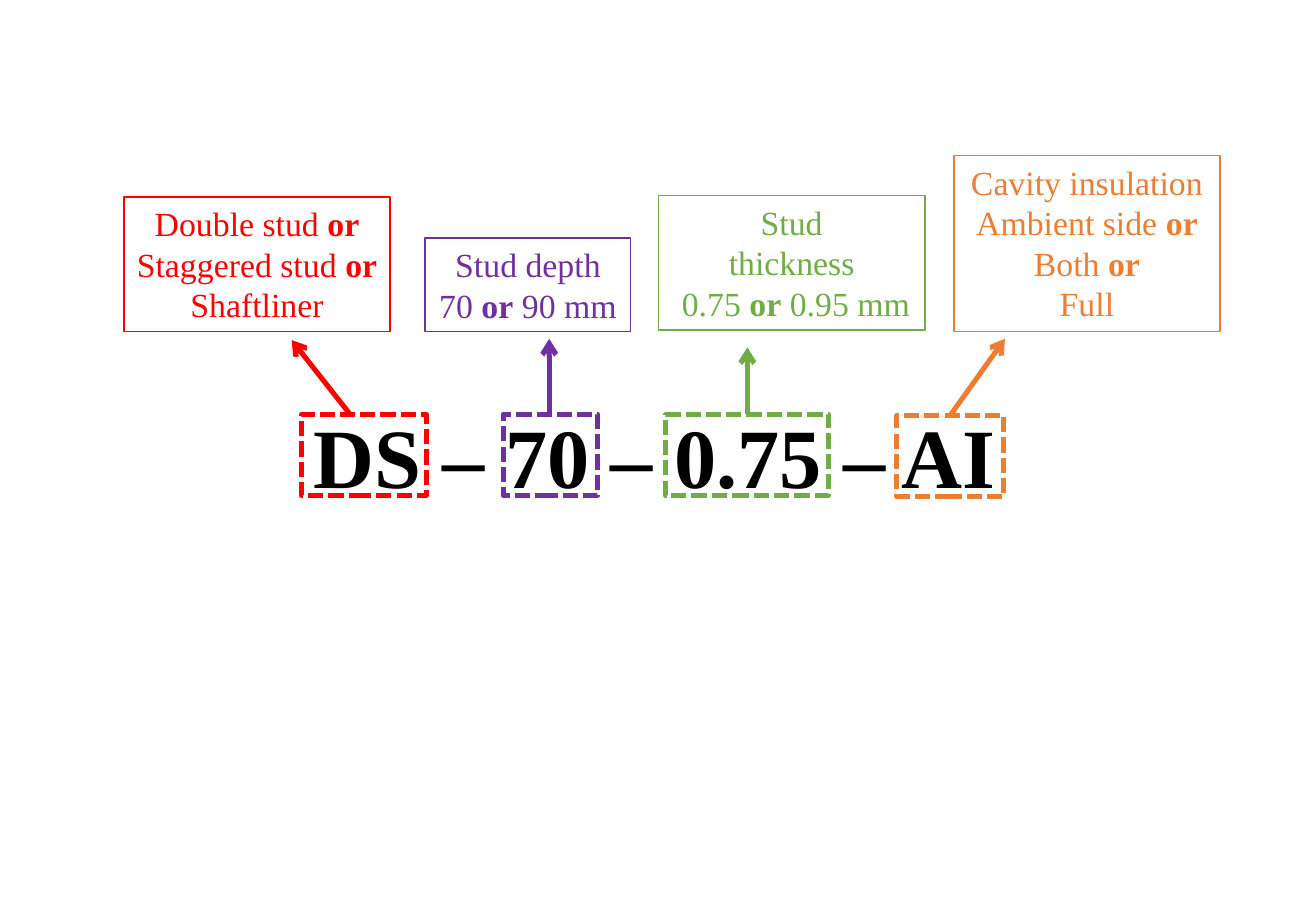
from lxml import etree
from pptx import Presentation
from pptx.dml.color import RGBColor
from pptx.enum.dml import MSO_LINE
from pptx.enum.shapes import MSO_CONNECTOR, MSO_SHAPE
from pptx.enum.text import MSO_ANCHOR, MSO_AUTO_SIZE, PP_ALIGN
from pptx.oxml.ns import qn
from pptx.util import Pt

PX = 9144
FONT = "Times New Roman"
COLORS = {"red": "FF0000", "purple": "7030A0", "green": "70AD47",
          "orange": "ED7D31", "black": "000000", "white": "FFFFFF"}


def rgb(name):
    return RGBColor.from_string(COLORS[name])


def add_rect(slide, box, color, width):
    sp = slide.shapes.add_shape(MSO_SHAPE.RECTANGLE, *[v * PX for v in box])
    sp.shadow.inherit = False
    sp.fill.background()
    sp.line.color.rgb = rgb(color)
    sp.line.width = Pt(width)
    return sp


prs = Presentation()
prs.slide_width, prs.slide_height = 1083 * PX, 750 * PX
s = prs.slides.add_slide(prs.slide_layouts[6])

code = s.shapes.add_textbox(248 * PX, 328 * PX, 587 * PX, 94 * PX)
tf = code.text_frame
tf.word_wrap = False
tf.auto_size = MSO_AUTO_SIZE.SHAPE_TO_FIT_TEXT
tf.text = "DS – 70 – 0.75 – AI"
font = tf.paragraphs[0].runs[0].font
font.name, font.size, font.bold = FONT, Pt(50), True
font.color.rgb = rgb("black")

parts = [
    ("red", (248, 341, 103, 67), (288, 341, 240, 280), (102, 162, 219, 111), False,
     ["Double stud or", "Staggered stud or", "Shaftliner"]),
    ("purple", (414, 341, 78, 67), (452, 341, 452, 279), (350, 196, 169, 77), True,
     ["Stud depth 70 or 90 mm"]),
    ("green", (548, 341, 134, 67), (615, 341, 615, 286), (542, 161, 219, 111), True,
     ["Stud", "thickness", " 0.75 or 0.95 mm"]),
    ("orange", (738, 342, 88, 67), (782, 342, 827, 279), (785, 128, 219, 145), True,
     ["Cavity insulation", "Ambient side or", "Both or", "Full"]),
]

for color, frame, arrow, label, wrap, lines in parts:
    sp = add_rect(s, frame, color, 3)
    sp.line.dash_style = MSO_LINE.SQUARE_DOT

    cx = s.shapes.add_connector(MSO_CONNECTOR.STRAIGHT, *[v * PX for v in arrow])
    cx.line.color.rgb = rgb(color)
    cx.line.width = Pt(3)
    sp_pr = cx._element.spPr
    etree.SubElement(sp_pr.find(qn("a:ln")), qn("a:tailEnd"), type="arrow")
    etree.SubElement(sp_pr, qn("a:effectLst"))

    sp = add_rect(s, label, color, 1)
    sp.fill.solid()
    sp.fill.fore_color.rgb = rgb("white")
    tf = sp.text_frame
    tf.word_wrap = wrap
    tf.auto_size = MSO_AUTO_SIZE.SHAPE_TO_FIT_TEXT
    tf.vertical_anchor = MSO_ANCHOR.TOP
    for i, line in enumerate(lines):
        p = tf.add_paragraph() if i else tf.paragraphs[0]
        p.alignment = PP_ALIGN.CENTER
        for piece in filter(None, line.partition(" or")):
            r = p.add_run()
            r.text = piece
            r.font.name, r.font.size = FONT, Pt(20)
            r.font.bold = piece == " or"
            r.font.color.rgb = rgb(color)

prs.save("out.pptx")
